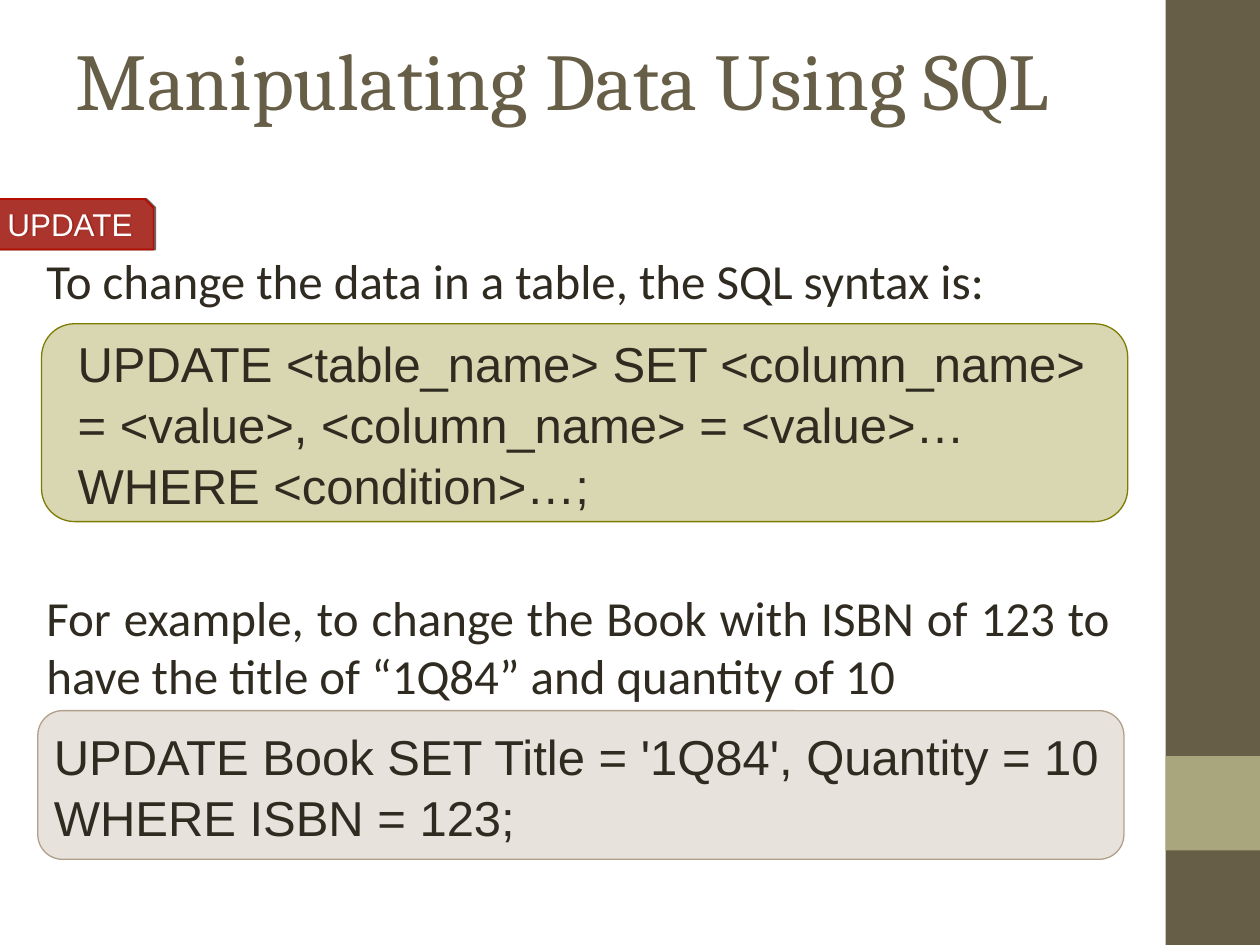
from dataclasses import dataclass

from pptx import Presentation
from pptx.dml.color import RGBColor
from pptx.enum.shapes import MSO_SHAPE as Shape
from pptx.enum.text import MSO_ANCHOR as Anchor, MSO_AUTO_SIZE as AutoSize, PP_ALIGN as Align
from pptx.oxml.ns import qn
from pptx.util import Inches, Pt
from lxml.etree import SubElement


@dataclass(frozen=True)
class Theme:
    """Colours, fonts and type sizes of the slide."""
    brown: str = "675E47"
    sage: str = "A9A57C"
    red: str = "B50C00"
    olive: str = "7F7B00"
    sand: str = "B1A089"
    ink: str = "2F2B20"
    white: str = "FFFFFF"
    heading: str = "Cambria"
    body: str = "Calibri"
    code: str = "Arial"
    title_size: int = 46
    text_size: int = 28
    tag_size: int = 18


T = Theme()


def set_all(obj, values):
    """Set each attribute named in values on obj."""
    for name, value in values.items():
        setattr(obj, name, value)


def write(shape, text, font, size, color, align=Align.LEFT, anchor=Anchor.MIDDLE,
          left=0.1, right=0.1, spacing=None):
    """Put one formatted paragraph in a shape."""
    tf = shape.text_frame
    set_all(tf, {"word_wrap": True, "auto_size": AutoSize.NONE, "vertical_anchor": anchor,
                 "margin_left": Inches(left), "margin_right": Inches(right),
                 "margin_top": Inches(0.05), "margin_bottom": Inches(0.05)})
    p = tf.paragraphs[0]
    set_all(p, {"alignment": align, "line_spacing": spacing})
    r = p.add_run()
    r.text = text
    set_all(r.font, {"name": font, "size": Pt(size)})
    r.font.color.rgb = RGBColor.from_string(color)


def paint(shape, color, alpha=100, line=None):
    """Give a shape its fill, opacity and outline, without a shadow."""
    shape.shadow.inherit = False
    shape.fill.solid()
    shape.fill.fore_color.rgb = RGBColor.from_string(color)
    if alpha < 100:
        clr = shape.fill._xPr.find(qn("a:solidFill"))[0]
        SubElement(clr, qn("a:alpha"), val=str(alpha * 1000))
    if line:
        shape.line.color.rgb = RGBColor.from_string(color)
        shape.line.width = Pt(line)
    else:
        shape.line.fill.background()


def add_sidebar(s, x, y, w, h):
    """Draw the side band with its square accent."""
    for top, height, color in ((y, h, T.brown), (y + h - 2 * w, w, T.sage)):
        paint(s.shapes.add_shape(Shape.RECTANGLE, *map(Inches, (x, top, w, height))), color)


def add_title(s, text, *box):
    """Move and fill the title placeholder."""
    title = s.shapes.title
    set_all(title, dict(zip(("left", "top", "width", "height"), map(Inches, box))))
    write(title, text, T.heading, T.title_size, T.brown)


def add_tag(s, text, x, y, w, h, cut=0.07):
    """Draw the keyword tag with one cut corner."""
    points = [(x + w - cut, y), (x + w, y + cut), (x + w, y + h), (x, y + h)]
    builder = s.shapes.build_freeform(Inches(x), Inches(y))
    builder.add_line_segments([(Inches(px), Inches(py)) for px, py in points], close=True)
    tag = builder.convert_to_shape()
    paint(tag, T.red, 70, 1)
    effects = tag._element.spPr.find(qn("a:effectLst"))
    shadow = SubElement(effects, qn("a:outerShdw"), dist=str(Pt(1)), dir="0")
    clr = SubElement(shadow, qn("a:srgbClr"), val="000000")
    SubElement(clr, qn("a:alpha"), val="60000")
    write(tag, text, T.code, T.tag_size, T.white)


def add_text(s, text, *box):
    """Add a justified explanation."""
    write(s.shapes.add_textbox(*map(Inches, box)), text, T.body, T.text_size, T.ink,
          Align.JUSTIFY, Anchor.TOP)


def add_code(s, text, color, left, right, *box):
    """Add a tinted rounded panel holding a statement."""
    panel = s.shapes.add_shape(Shape.ROUNDED_RECTANGLE, *map(Inches, box))
    paint(panel, color, 30, 0.75)
    write(panel, text, T.code, T.text_size, T.ink, left=left, right=right, spacing=1.04)


def main():
    """Build and save the slide."""
    prs = Presentation()
    set_all(prs, {"slide_width": Inches(10), "slide_height": Inches(7.5)})
    s = prs.slides.add_slide(prs.slide_layouts[5])
    add_sidebar(s, 9.25, 0, 0.75, 7.5)
    add_title(s, "Manipulating Data Using SQL", 0.5, 0, 8.33, 1.25)
    add_tag(s, "UPDATE", -0.04, 1.58, 1.26, 0.4)
    add_text(s, "To change the data in a table, the SQL syntax is:", 0.27, 1.94, 8.64, 0.6)
    add_code(s, "UPDATE <table_name> SET <column_name> = <value>, <column_name> = <value>… "
             "WHERE <condition>…;", T.olive, 0.21, 0.1, 0.33, 2.57, 8.62, 1.57)
    add_text(s, "For example, to change the Book with ISBN of 123 to have the title of "
             "“1Q84” and quantity of 10", 0.27, 4.61, 8.64, 1.05)
    add_code(s, "UPDATE Book SET Title = '1Q84', Quantity = 10 WHERE ISBN = 123;",
             T.sand, 0.07, 0.02, 0.3, 5.64, 8.62, 1.18)
    prs.save("out.pptx")


if __name__ == "__main__":
    main()
